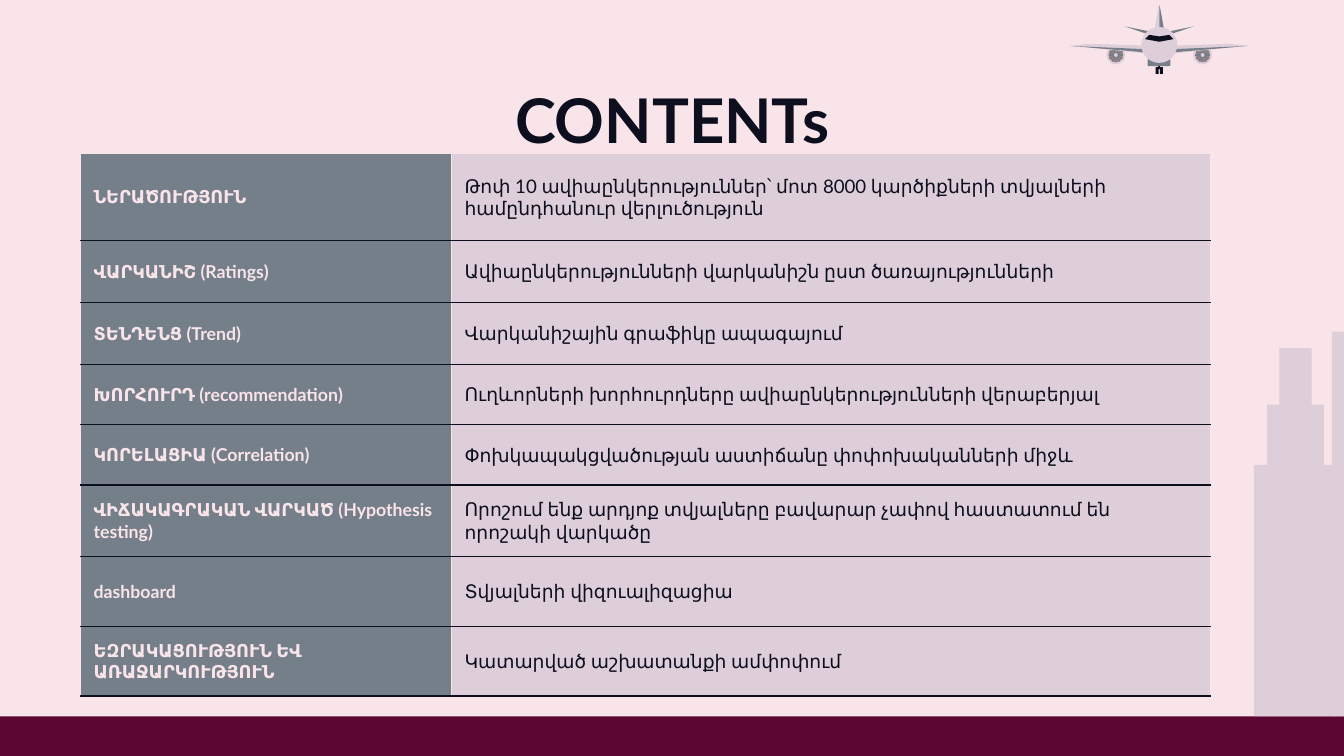
"""Build the contents slide with its table, skyline and plane."""
from math import cos, pi, sin

from lxml.etree import SubElement
from pptx import Presentation
from pptx.dml.color import RGBColor
from pptx.enum.shapes import MSO_CONNECTOR, MSO_SHAPE
from pptx.enum.text import MSO_ANCHOR, PP_ALIGN
from pptx.oxml import parse_xml
from pptx.oxml.ns import nsdecls, qn
from pptx.util import Cm, Pt

PINK, LILAC, GREY, NAVY = "F9E4E9", "DECED9", "747F8A", "0D0F1F"
WINE, BROWN = "5C0632", "9F8285"
MID = 21.91


def rgb(code):
    return RGBColor.from_string(code)


def paint(shape, code):
    shape.shadow.inherit = False
    shape.fill.solid()
    shape.fill.fore_color.rgb = rgb(code)
    shape.line.fill.background()


deck = Presentation()
deck.slide_width, deck.slide_height = Cm(25.4), Cm(14.29)
slide = deck.slides.add_slide(deck.slide_layouts[6])
slide.background.fill.solid()
slide.background.fill.fore_color.rgb = rgb(PINK)
shapes = slide.shapes

# left, top, width, height
blocks = [
    (0, 13.54, 25.4, 0.75, WINE),
    (25.17, 6.27, 0.23, 7.27, LILAC),
    (23.7, 8.79, 1.57, 4.75, LILAC),
    (23.95, 7.65, 1.07, 1.16, LILAC),
    (24.18, 6.58, 0.61, 1.17, LILAC),
]
for *box, code in blocks:
    paint(shapes.add_shape(MSO_SHAPE.RECTANGLE, *map(Cm, box)), code)

for side in (-1, 1):
    hub, high = MID + side * 0.82, 1.04
    for size, code in ((0.36, LILAC), (0.28, BROWN), (0.07, LILAC)):
        if code == LILAC and size < 0.1:
            for step in range(12):
                turn = step * pi / 6
                spoke = shapes.add_connector(
                    MSO_CONNECTOR.STRAIGHT, Cm(hub + 0.14 * cos(turn)),
                    Cm(high + 0.14 * sin(turn)), Cm(hub), Cm(high))
                spoke.line.color.rgb = rgb(GREY)
                spoke.line.width = Pt(0.6)
                SubElement(spoke._element.spPr, qn("a:effectLst"))
        paint(shapes.add_shape(MSO_SHAPE.OVAL, Cm(hub - size / 2),
                               Cm(high - size / 2), Cm(size), Cm(size)), code)

wings = [
    (LILAC, [(0.24, 0.86), (0.7, 0.85), (1.3, 0.83), (1.69, 0.86), (0.17, 1.02)]),
    (GREY, [(1.67, 0.87), (0.27, 0.99), (0.26, 0.93)]),
    (GREY, [(0.65, 0.5), (0.09, 0.69), (0.11, 0.61)]),
]
fins = [
    (LILAC, [(0, 0.1), (0, 0.56), (-0.09, 0.56), (-0.04, 0.28), (-0.01, 0.12)]),
    (GREY, [(0, 0.1), (0, 0.56), (0.09, 0.56), (0.04, 0.28), (0.01, 0.12)]),
]
glass = [(NAVY, [(0.19, 0.66), (0.27, 0.74), (0, 0.79),
                 (-0.27, 0.74), (-0.19, 0.66), (0, 0.69)])]
parts = [(code, [(side * x, y) for x, y in dots])
         for code, dots in wings for side in (1, -1)] + fins
body = [
    (MSO_SHAPE.RECTANGLE, 21.89, 1.22, 0.03, 0.09, NAVY),
    (MSO_SHAPE.ROUNDED_RECTANGLE, 21.69, 1.12, 0.43, 0.13, GREY),
    (MSO_SHAPE.OVAL, 21.57, 0.51, 0.68, 0.68, LILAC),
    (MSO_SHAPE.ROUNDED_RECTANGLE, 21.84, 1.27, 0.06, 0.13, NAVY),
    (MSO_SHAPE.ROUNDED_RECTANGLE, 21.92, 1.27, 0.06, 0.13, NAVY),
]
for group in (parts, body, glass):
    for item in group:
        if group is body:
            kind, *box, code = item
            part = shapes.add_shape(kind, *map(Cm, box))
        else:
            code, dots = item
            spots = [(Cm(MID + x), Cm(y)) for x, y in dots]
            pen = shapes.build_freeform(*spots[0])
            pen.add_line_segments(spots[1:])
            part = pen.convert_to_shape()
        paint(part, code)

frame = shapes.add_textbox(Cm(2.01), Cm(1.3), Cm(21.39), Cm(1.6)).text_frame
inset = {f"margin_{edge}": Cm(0.25) for edge in ("left", "top", "right", "bottom")}
for name, value in {**inset, "word_wrap": True, "vertical_anchor": MSO_ANCHOR.TOP}.items():
    setattr(frame, name, value)
head = frame.paragraphs[0]
head.text, head.alignment = "CONTENTs", PP_ALIGN.CENTER
for name, value in {"size": Pt(33), "bold": True, "name": "Lato"}.items():
    setattr(head.font, name, value)
head.font.color.rgb = rgb(NAVY)

# height, topic, detail, space after
rows = [
    (1.65, "ՆԵՐԱԾՈՒԹՅՈՒՆ", "Թոփ 10 ավիաընկերություններ՝ մոտ 8000 կարծիքների "
     "տվյալների համընդհանուր վերլուծություն", 16),
    (1.17, "ՎԱՐԿԱՆԻՇ (Ratings)", "Ավիաընկերությունների վարկանիշն ըստ ծառայությունների", 16),
    (1.17, "ՏԵՆԴԵՆՑ (Trend)", "Վարկանիշային գրաֆիկը ապագայում", 16),
    (1.14, "ԽՈՐՀՈՒՐԴ (recommendation)",
     "Ուղևորների խորհուրդները ավիաընկերությունների վերաբերյալ", 16),
    (1.14, "ԿՈՐԵԼԱՑԻԱ (Correlation)", "Փոխկապակցվածության աստիճանը փոփոխականների միջև", 16),
    (1.32, "ՎԻՃԱԿԱԳՐԱԿԱՆ ՎԱՐԿԱԾ (Hypothesis testing)",
     "Որոշում ենք արդյոք տվյալները բավարար չափով հաստատում են որոշակի վարկածը", 0),
    (1.32, "dashboard", "Տվյալների վիզուալիզացիա", 0),
    (1.32, "ԵԶՐԱԿԱՑՈՒԹՅՈՒՆ ԵՎ ԱՌԱՋԱՐԿՈՒԹՅՈՒՆ", "Կատարված աշխատանքի ամփոփում", 16),
]
looks = [
    (GREY, PINK, {"size": Pt(9.5), "bold": True, "name": "Lato"}),
    (LILAC, NAVY, {"size": Pt(10), "bold": False, "name": "Lato"}),
]
table = shapes.add_table(len(rows), 2, Cm(1.52), Cm(2.9), Cm(21.36), Cm(10.23)).table
table.first_row = table.horz_banding = False
table.columns[0].width, table.columns[1].width = Cm(7.01), Cm(14.35)
for r, (tall, *texts, after) in enumerate(rows):
    table.rows[r].height = Cm(tall)
    for c, (fill, ink, style) in enumerate(looks):
        cell = table.cell(r, c)
        for name, value in {**inset, "vertical_anchor": MSO_ANCHOR.MIDDLE}.items():
            setattr(cell, name, value)
        cell.fill.solid()
        cell.fill.fore_color.rgb = rgb(fill)
        para = cell.text_frame.paragraphs[0]
        para.text = texts[c]
        if c and after:
            para.space_after = Pt(after)
        for name, value in style.items():
            setattr(para.font, name, value)
        para.font.color.rgb = rgb(ink)
        edges = {"L": PINK, "R": PINK, "T": NAVY if r else PINK, "B": NAVY}
        for spot, (edge, code) in enumerate(edges.items()):
            cell._tc.get_or_add_tcPr().insert(spot, parse_xml(
                f'<a:ln{edge} {nsdecls("a")} w="9525"><a:solidFill>'
                f'<a:srgbClr val="{code}"/></a:solidFill></a:ln{edge}>'))

deck.save("out.pptx")
